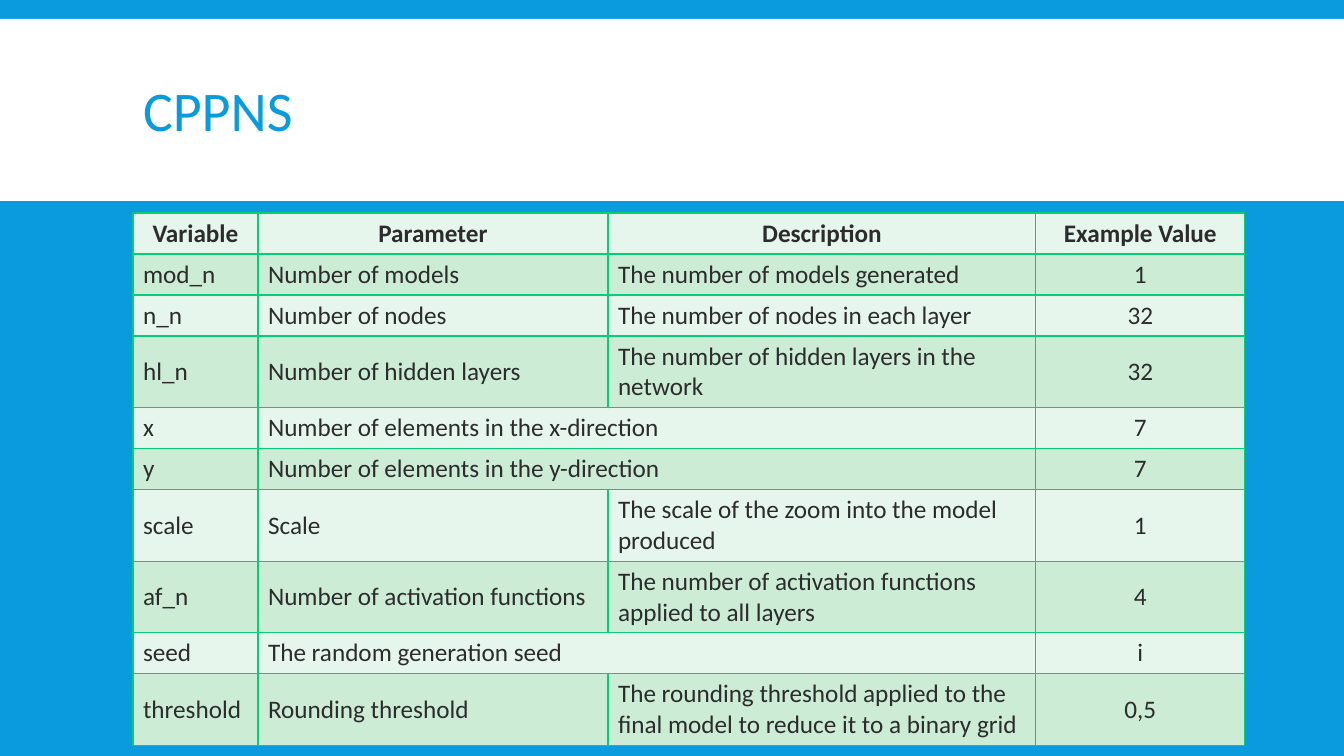
from dataclasses import dataclass

from lxml.etree import SubElement
from pptx import Presentation
from pptx.dml.color import RGBColor
from pptx.enum.shapes import MSO_SHAPE as SHAPE
from pptx.enum.text import MSO_ANCHOR as ANCHOR, PP_ALIGN as ALIGN
from pptx.oxml import parse_xml
from pptx.oxml.ns import nsdecls, qn
from pptx.util import Emu, Pt

EMU_PER_PX = 914400 / 100.8
SLIDE_SIZE = (1344, 756)
TITLE_ONLY = 5


@dataclass(frozen=True)
class Theme:
    font: str = "Calibri"
    blue: str = "099BDD"
    white: str = "FFFFFF"
    ink: str = "2C2C2C"
    border: str = "08CC78"
    bands: tuple = ("E7F6EC", "CCECD6")
    title_size: int = 40
    table_size: int = 18
    border_width: int = 1


COLUMN_WIDTHS = (125, 350, 428, 209)
ROW_HEIGHT = 41
# None joins a cell to the one on its left
PARAMETERS = (
    ("Variable", "Parameter", "Description", "Example Value"),
    ("mod_n", "Number of models", "The number of models generated", "1"),
    ("n_n", "Number of nodes", "The number of nodes in each layer", "32"),
    ("hl_n", "Number of hidden layers",
     "The number of hidden layers in the network", "32"),
    ("x", "Number of elements in the x-direction", None, "7"),
    ("y", "Number of elements in the y-direction", None, "7"),
    ("scale", "Scale", "The scale of the zoom into the model produced", "1"),
    ("af_n", "Number of activation functions",
     "The number of activation functions applied to all layers", "4"),
    ("seed", "The random generation seed", None, "i"),
    ("threshold", "Rounding threshold",
     "The rounding threshold applied to the final model "
     "to reduce it to a binary grid", "0,5"),
)


def px(n):
    return Emu(round(n * EMU_PER_PX))


def set_attrs(obj, values):
    for name, value in values.items():
        setattr(obj, name, value)


def fill_solid(fill, color):
    fill.solid()
    fill.fore_color.rgb = RGBColor.from_string(color)


class SlideBuilder:
    def __init__(self, prs, theme):
        self.theme = theme
        self.slide = prs.slides.add_slide(prs.slide_layouts[TITLE_ONLY])
        fill_solid(self.slide.background.fill, theme.blue)

    def add_text(self, tf, text, size, color, bold=False, align=ALIGN.LEFT):
        tf.word_wrap = True
        p = tf.paragraphs[0]
        p.alignment = align
        r = p.add_run()
        r.text = text
        set_attrs(r.font, {"name": self.theme.font, "size": Pt(size), "bold": bold})
        r.font.color.rgb = RGBColor.from_string(color)
        return p

    def title(self, text, left, top, width, height):
        sp = self.slide.shapes.title
        set_attrs(sp, {"left": px(left), "top": px(top),
                       "width": px(width), "height": px(height)})
        sp.text_frame.vertical_anchor = ANCHOR.MIDDLE
        p = self.add_text(sp.text_frame, text, self.theme.title_size, self.theme.blue)
        p.line_spacing = 0.85

    def band(self, *box):
        """Draw a white band behind the title."""
        sp = self.slide.shapes.add_shape(SHAPE.RECTANGLE, *map(px, box))
        sp.shadow.inherit = False
        fill_solid(sp.fill, self.theme.white)
        sp.line.fill.background()
        self.slide.shapes.title.element.addprevious(sp.element)

    def cell_borders(self, cell):
        tc_pr = cell._tc.get_or_add_tcPr()
        for i, side in enumerate("LRTB"):
            ln = parse_xml(f'<a:ln{side} {nsdecls("a")}/>')
            ln.set("w", str(Pt(self.theme.border_width)))
            fill = SubElement(ln, qn("a:solidFill"))
            SubElement(fill, qn("a:srgbClr")).set("val", self.theme.border)
            tc_pr.insert(i, ln)

    def table(self, rows, left, top, widths, row_height):
        frame = self.slide.shapes.add_table(
            len(rows), len(widths), px(left), px(top),
            px(sum(widths)), px(row_height * len(rows)))
        table = frame.table
        set_attrs(table, {"first_row": False, "horz_banding": False})
        for column, width in zip(table.columns, widths):
            column.width = px(width)
        for i, texts in enumerate(rows):
            table.rows[i].height = px(row_height)
            for j, text in enumerate(texts):
                cell = table.cell(i, j)
                fill_solid(cell.fill, self.theme.bands[i % 2])
                self.cell_borders(cell)
                if text is None:
                    table.cell(i, j - 1).merge(cell)
                    continue
                cell.vertical_anchor = ANCHOR.MIDDLE
                header = i == 0
                centred = header or j == len(widths) - 1
                self.add_text(cell.text_frame, text, self.theme.table_size,
                              self.theme.ink, header,
                              ALIGN.CENTER if centred else ALIGN.LEFT)


def main():
    prs = Presentation()
    prs.slide_width, prs.slide_height = map(px, SLIDE_SIZE)
    s = SlideBuilder(prs, Theme())
    s.band(0, 19, 1344, 182)
    s.title("CPPNS", 133, 31, 1079, 166)
    s.table(PARAMETERS, 133, 213, COLUMN_WIDTHS, ROW_HEIGHT)
    prs.save("out.pptx")


if __name__ == "__main__":
    main()
